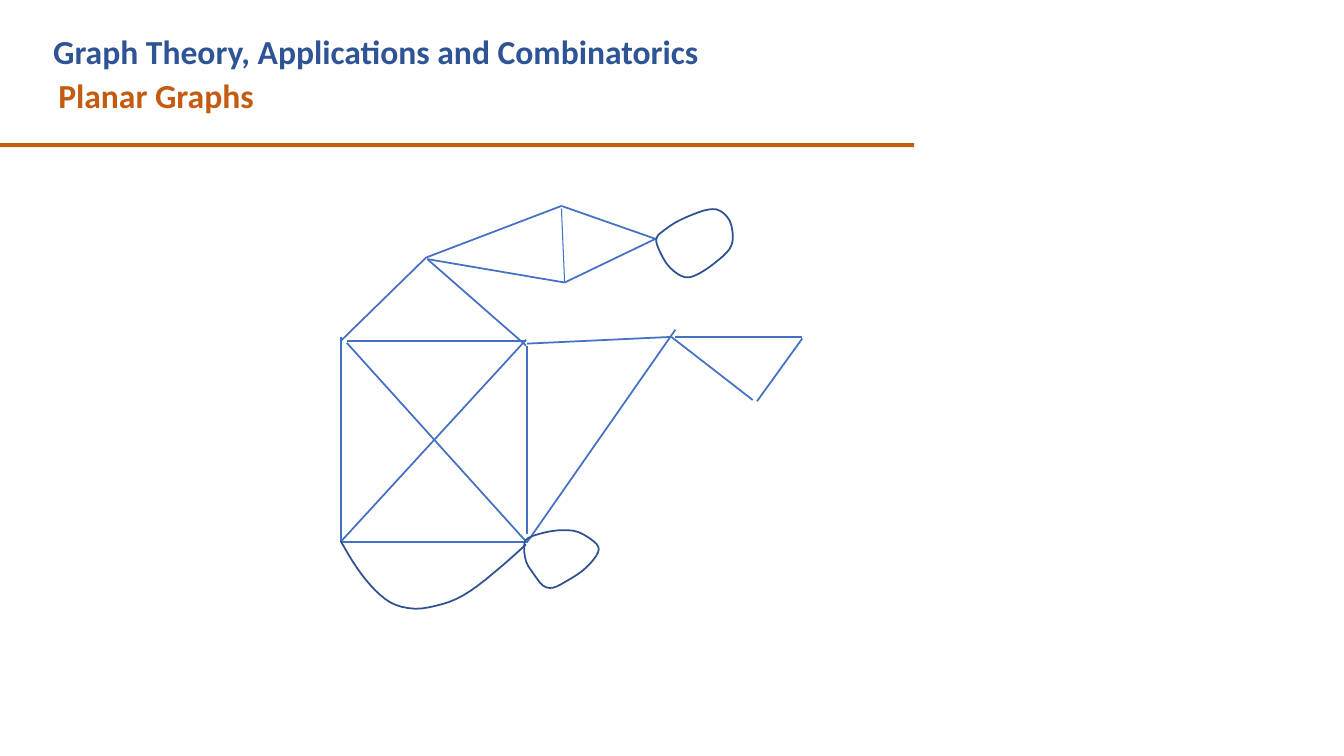
from dataclasses import dataclass

from pptx import Presentation
from pptx import util as u
from pptx.dml.color import RGBColor
from pptx.enum import shapes, text


@dataclass(frozen=True)
class Theme:
    font: str = "Calibri"
    title_size: float = 24
    title: str = "2E5496"
    accent: str = "C55A11"
    edge: str = "4471C4"
    curve: str = "2E528F"
    edge_width: float = 1.25
    thin_width: float = 0.75


THEME = Theme()

LEFT_EDGES = [
    [(8.59, 8.49), (8.59, 13.65)],
    [(8.74, 8.59), (13.26, 8.59)],
    [(13.28, 8.71), (13.28, 13.46)],
    [(8.59, 13.65), (13.26, 13.65)],
    [(8.59, 8.59), (10.74, 6.49)],
    [(10.77, 6.53), (13.26, 8.71)],
    [(10.74, 6.49), (14.15, 5.19)],
    [(10.77, 6.53), (14.23, 7.12)],
    [(14.15, 5.19), (16.52, 6.02)],
    [(14.23, 7.12), (16.56, 6)],
]
RIGHT_EDGES = [
    [(13.28, 8.66), (16.92, 8.49)],
    [(17.02, 8.49), (20.22, 8.49)],
    [(16.92, 8.49), (18.97, 10.08)],
    [(19.08, 10.11), (20.22, 8.53)],
    [(13.28, 13.67), (17.02, 8.31)],
    [(8.59, 13.65), (13.26, 8.56)],
    [(8.74, 8.64), (13.28, 13.67)],
]
THIN_EDGE = [(14.15, 5.26), (14.23, 7.12)]

UPPER_LOOP = [
    (16.56, 5.97), (16.56, 6.17), (16.79, 6.63), (17.09, 6.91), (17.37, 6.99),
    (17.73, 6.83), (18.11, 6.55), (18.39, 6.27), (18.47, 5.97), (18.39, 5.56),
    (18.14, 5.31), (17.86, 5.28), (17.45, 5.41), (17.02, 5.61), (16.69, 5.84),
]
LOWER_LOOP = [
    (13.31, 13.56), (13.21, 13.77), (13.26, 14.15), (13.44, 14.45), (13.69, 14.76),
    (13.94, 14.81), (14.25, 14.66), (14.66, 14.4), (14.96, 14.1), (15.09, 13.84),
    (14.96, 13.64), (14.58, 13.41), (14.2, 13.36), (13.77, 13.41),
]
LOWER_ARC = [
    (8.59, 13.64), (8.89, 14.15), (9.22, 14.61), (9.58, 14.99), (9.96, 15.24),
    (10.46, 15.34), (10.97, 15.27), (11.51, 15.09), (12.04, 14.76), (12.7, 14.22),
    (13.26, 13.72),
]


def color(value):
    return RGBColor.from_string(value)


def add_title_run(paragraph, content, *, fill):
    run = paragraph.add_run()
    run.text = content
    run.font.name = THEME.font
    run.font.size = u.Pt(THEME.title_size)
    run.font.bold = True
    run.font.color.rgb = color(fill)


def add_title(slide):
    box = slide.shapes.add_textbox(u.Cm(1.26), u.Cm(0.66), u.Cm(16.38), u.Cm(2.29))
    frame = box.text_frame
    frame.word_wrap = True
    frame.vertical_anchor = text.MSO_ANCHOR.TOP
    frame.margin_left = frame.margin_right = frame.margin_bottom = 0
    frame.margin_top = u.Cm(0.03)
    paragraph = frame.paragraphs[0]
    paragraph.line_spacing = 1.09
    paragraph.alignment = text.PP_ALIGN.LEFT
    properties = paragraph._p.get_or_add_pPr()
    properties.set("marL", str(u.Cm(0.21)))
    properties.set("indent", str(u.Cm(-0.13)))
    add_title_run(paragraph, "Graph Theory, Applications and Combinatorics ", fill=THEME.title)
    add_title_run(paragraph, "Planar Graphs", fill=THEME.accent)


def add_rule(slide):
    rule = slide.shapes.add_shape(shapes.MSO_SHAPE.RECTANGLE,
                                  0, u.Cm(3.61), u.Cm(23.04), u.Cm(0.1))
    rule.shadow.inherit = False
    rule.fill.solid()
    rule.fill.fore_color.rgb = color(THEME.accent)
    rule.line.fill.background()


def spline(points, closed=False, steps=3):
    before, after = (points[-1:], points[:2]) if closed else (points[:1], points[-1:])
    padded = before + points + after
    result = [points[0]]
    for a, b, c, d in zip(padded, padded[1:], padded[2:], padded[3:]):
        for step in range(1, steps + 1):
            t = step / steps
            result.append(tuple(
                q + t * (r - p) / 2
                + t ** 2 * (2 * p - 5 * q + 4 * r - s) / 2
                + t ** 3 * (3 * q - p - 3 * r + s) / 2
                for p, q, r, s in zip(a, b, c, d)))
    return result


def add_outline(slide, strokes, *, line, width=THEME.edge_width):
    paths = [[(u.Cm(x), u.Cm(y)) for x, y in stroke] for stroke in strokes]
    builder = slide.shapes.build_freeform(*paths[0][0])
    for index, vertices in enumerate(paths):
        if index:
            builder.move_to(*vertices[0])
        builder.add_line_segments(vertices[1:], close=False)
    outline = builder.convert_to_shape()
    outline.shadow.inherit = False
    outline.fill.background()
    outline.line.color.rgb = color(line)
    outline.line.width = u.Pt(width)


def main():
    presentation = Presentation()
    presentation.slide_width = u.Cm(33.87)
    presentation.slide_height = u.Cm(19.05)
    slide = presentation.slides.add_slide(presentation.slide_layouts[6])
    add_title(slide)
    add_rule(slide)
    add_outline(slide, LEFT_EDGES, line=THEME.edge)
    add_outline(slide, [spline(UPPER_LOOP, closed=True)], line=THEME.curve)
    add_outline(slide, RIGHT_EDGES, line=THEME.edge)
    add_outline(slide, [spline(LOWER_LOOP, closed=True), spline(LOWER_ARC)], line=THEME.curve)
    add_outline(slide, [THIN_EDGE], line=THEME.edge, width=THEME.thin_width)
    presentation.save("out.pptx")


if __name__ == "__main__":
    main()
